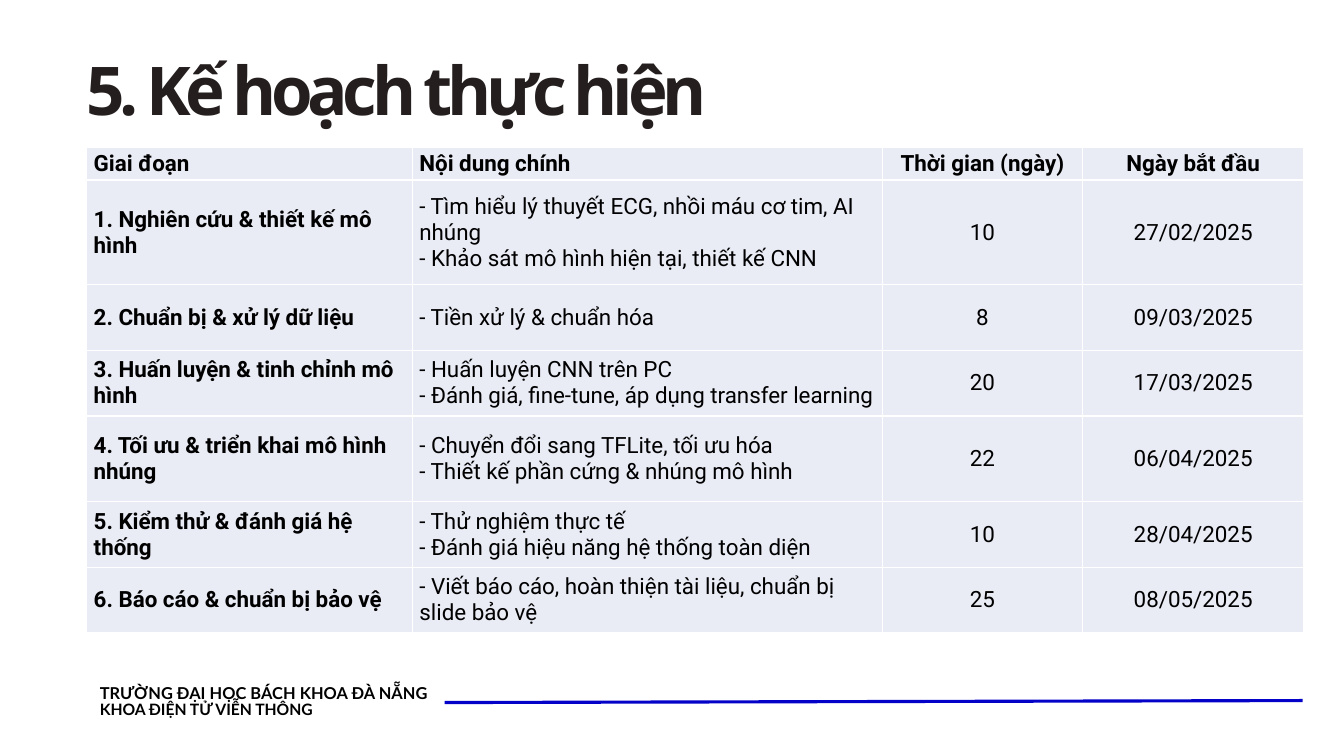
"""Builds the project plan slide: title, schedule table and footer."""
from copy import deepcopy

from lxml import etree
from pptx import Presentation
from pptx.dml.color import RGBColor
from pptx.enum import shapes, text
from pptx.oxml.ns import qn
from pptx.util import Inches, Pt


def paint(color_format, value):
    color_format.rgb = RGBColor.from_string(value)


def add_span(para, words, font_name, size, color, bold=True):
    span = para.add_run()
    span.text = words
    span.font.name = font_name
    span.font.size = Pt(size)
    span.font.bold = bold
    span.font.fill.solid()
    paint(span.font.fill.fore_color, color)
    return span


deck = Presentation()
deck.slide_width, deck.slide_height = Inches(13.33), Inches(7.5)
page = deck.slides.add_slide(deck.slide_layouts[6])

rule = page.shapes.add_connector(
    shapes.MSO_CONNECTOR.STRAIGHT, Inches(4.41), Inches(6.97), Inches(12.92), Inches(6.95))
paint(rule.line.color, "0402C9")
rule.line.width = Pt(2.25)
etree.SubElement(rule._element.spPr, qn("a:effectLst"))

text_boxes = [
    ((0.99, 6.74, 3.28, 0.39), "Lato", "000000", 0, [
        ("TRƯỜNG ĐẠI HỌC BÁCH KHOA ĐÀ NẴNG", 11.7, 16.4),
        ("KHOA ĐIỆN TỬ VIỄN THÔNG", 11.2, 11.5)]),
    ((0.86, 0.37, 8.25, 0.86), "Open Sans", "241F1E", -370, [
        ("5. Kế hoạch thực hiện", 48, 65.3)]),
]
for place, font_name, color, tracking, lines in text_boxes:
    box = page.shapes.add_textbox(*map(Inches, place))
    frame = box.text_frame
    frame.word_wrap = True
    frame.auto_size = text.MSO_AUTO_SIZE.SHAPE_TO_FIT_TEXT
    frame.margin_left = frame.margin_right = frame.margin_top = frame.margin_bottom = 0
    for index, (words, size, spacing) in enumerate(lines):
        para = frame.add_paragraph() if index else frame.paragraphs[0]
        para.line_spacing = Pt(spacing)
        span = add_span(para, words, font_name, size, color)
        if tracking:
            span.font._element.set("spc", str(tracking))

schedule = [
    ("Giai đoạn", "Nội dung chính", "Thời gian (ngày)", "Ngày bắt đầu"),
    ("1. Nghiên cứu & thiết kế mô hình",
     "- Tìm hiểu lý thuyết ECG, nhồi máu cơ tim, AI nhúng\n"
     "- Khảo sát mô hình hiện tại, thiết kế CNN", "10", "27/02/2025"),
    ("2. Chuẩn bị & xử lý dữ liệu", "- Tiền xử lý & chuẩn hóa", "8", "09/03/2025"),
    ("3. Huấn luyện & tinh chỉnh mô hình",
     "- Huấn luyện CNN trên PC\n"
     "- Đánh giá, fine-tune, áp dụng transfer learning", "20", "17/03/2025"),
    ("4. Tối ưu & triển khai mô hình nhúng",
     "- Chuyển đổi sang TFLite, tối ưu hóa\n"
     "- Thiết kế phần cứng & nhúng mô hình", "22", "06/04/2025"),
    ("5. Kiểm thử & đánh giá hệ thống",
     "- Thử nghiệm thực tế\n"
     "- Đánh giá hiệu năng hệ thống toàn diện", "10", "28/04/2025"),
    ("6. Báo cáo & chuẩn bị bảo vệ",
     "- Viết báo cáo, hoàn thiện tài liệu, chuẩn bị slide bảo vệ", "25", "08/05/2025"),
]
column_widths = [3.23, 4.66, 1.99, 2.19]
row_heights = [0.26, 1.04, 0.65, 0.65, 0.85, 0.65, 0.65]

table = page.shapes.add_table(
    len(row_heights), len(column_widths),
    Inches(0.86), Inches(1.46), Inches(12.06), Inches(4.83)).table
table.first_row = table.horz_banding = False
for column, width in zip(table.columns, column_widths):
    column.width = Inches(width)
for row, height in zip(table.rows, row_heights):
    row.height = Inches(height)

for row_index, entries in enumerate(schedule):
    for column_index, entry in enumerate(entries):
        cell = table.cell(row_index, column_index)
        cell.vertical_anchor = text.MSO_ANCHOR.MIDDLE
        cell.margin_left = cell.margin_right = Inches(0.07)
        cell.margin_top = cell.margin_bottom = Inches(0.03)
        for side in ("lnL", "lnR", "lnT", "lnB"):
            border = etree.SubElement(cell._tc.tcPr, qn(f"a:{side}"), w=str(Pt(1)))
            border_fill = etree.SubElement(border, qn("a:solidFill"))
            etree.SubElement(border_fill, qn("a:srgbClr"), val="FFFFFF")
        cell.fill.solid()
        paint(cell.fill.fore_color, "E9EBF5")

        para = cell.text_frame.paragraphs[0]
        centred = column_index > 1
        para.alignment = text.PP_ALIGN.CENTER if centred else text.PP_ALIGN.LEFT
        bold = row_index == 0 or column_index == 0
        for line_index, words in enumerate(entry.split("\n")):
            if line_index:
                para.add_line_break()
                para._p[-1].append(deepcopy(span.font._element))
            span = add_span(para, words, "Roboto", 16, "000000", bold)

deck.save("out.pptx")
